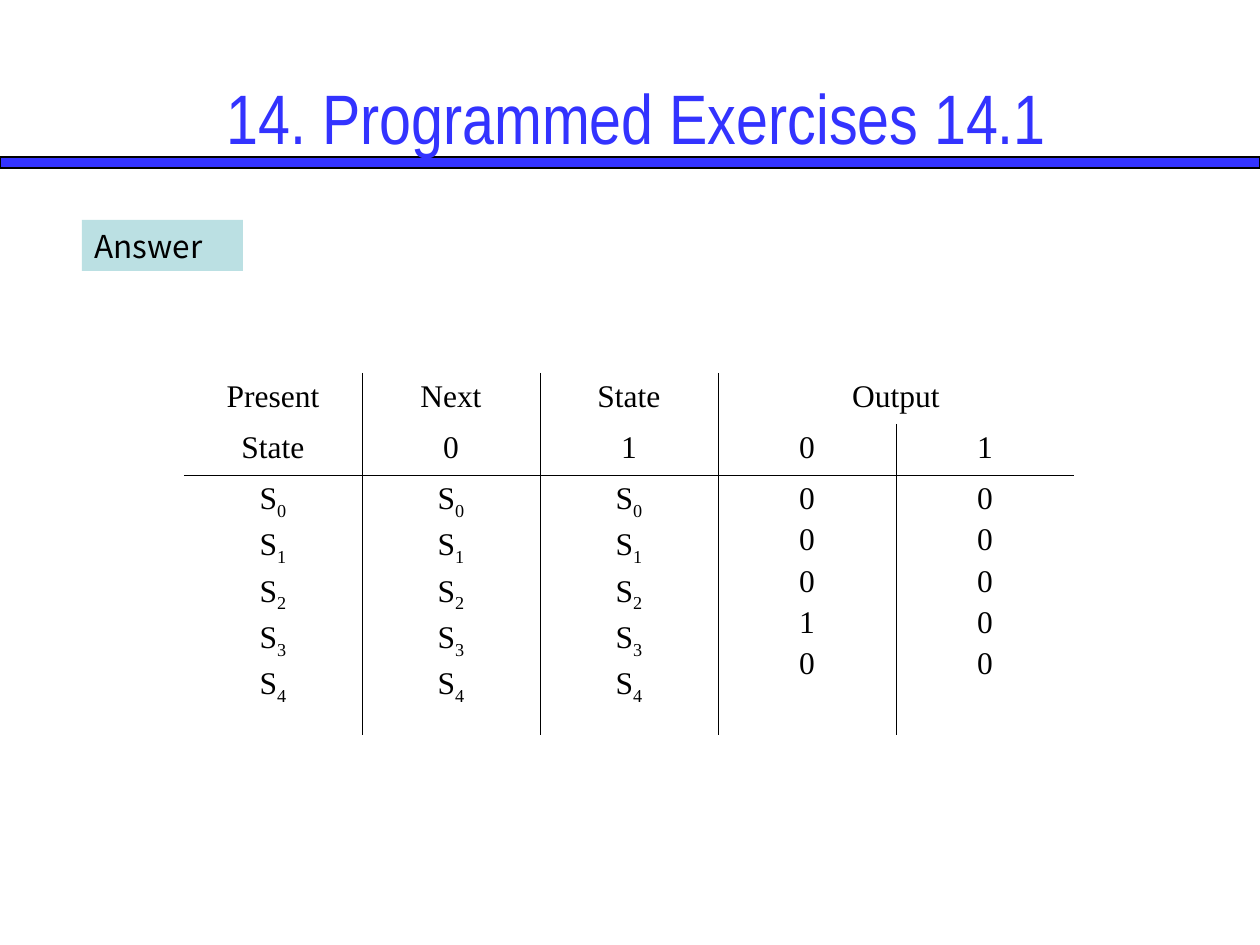
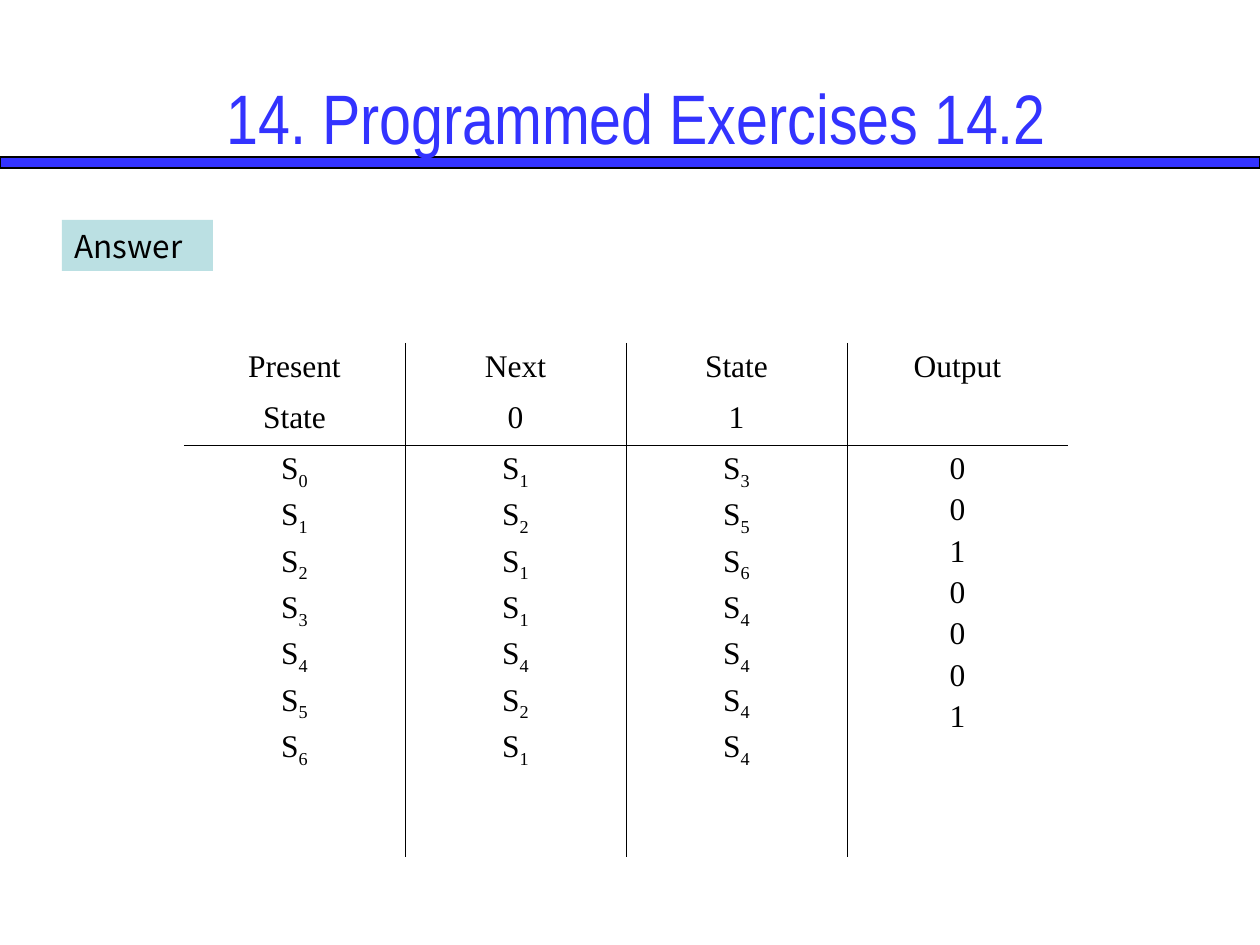
from dataclasses import dataclass
from lxml.etree import SubElement as Sub
from pptx import Presentation
from pptx.dml.color import RGBColor as Rgb
from pptx.enum.shapes import MSO_SHAPE as Kind
from pptx.enum.text import MSO_ANCHOR as Anchor, PP_ALIGN as Align
from pptx.oxml.ns import qn
from pptx.util import Emu, Pt

SCALE = 914400 / 126
PLAIN = "{2D5ABB26-0587-4C30-8999-92F81FD0307C}"


@dataclass(frozen=True)
class Theme:
    blue: str = "3333FF"
    teal: str = "BBE0E3"
    black: str = "000000"
    head: tuple = ("Arial Narrow", 40)
    label: tuple = ("Noto Sans CJK KR", 18)
    body: tuple = ("Times New Roman", 18)
    edge: float = 0.75
    rule: float = 0.45
    gap: float = 3.7


THEME = Theme()


def px(*nums):
    return [Emu(round(n * SCALE)) for n in nums]


def style(font, face, color):
    name, size = face
    for key, value in {"name": name, "size": Pt(size), "bold": False}.items():
        setattr(font, key, value)
    font.color.rgb = Rgb.from_string(color)


def write(frame, text, face, color, align):
    for key, value in {"word_wrap": True, "vertical_anchor": Anchor.MIDDLE}.items():
        setattr(frame, key, value)
    para = frame.paragraphs[0]
    para.alignment = align
    run = para.add_run()
    run.text = text
    style(run.font, face, color)


def block(slide, box, fill, edge=None):
    shape = slide.shapes.add_shape(Kind.RECTANGLE, *px(*box))
    shape.shadow.inherit = False
    shape.fill.solid()
    shape.fill.fore_color.rgb = Rgb.from_string(fill)
    if edge:
        shape.line.color.rgb = Rgb.from_string(edge)
        shape.line.width = Pt(THEME.edge)
    else:
        shape.line.fill.background()
    return shape


def frame(deck, title):
    """Add a slide with the shared bar and title."""
    slide = deck.slides.add_slide(deck.slide_layouts[6])
    block(slide, (0, 157, 1260, 11), THEME.blue, THEME.black)
    box = slide.shapes.add_textbox(*px(38, 38, 1197, 157))
    write(box.text_frame, title, THEME.head, THEME.blue, Align.CENTER)
    return slide


def label(slide, left, width):
    shape = block(slide, (left, 220, width, 51), THEME.teal)
    write(shape.text_frame, "Answer", THEME.label, THEME.black, Align.LEFT)


def fill(cell, text):
    """Write one paragraph per word; digits after a letter are subscripts."""
    for i, word in enumerate(text.split()):
        paras = cell.text_frame.paragraphs
        para = cell.text_frame.add_paragraph() if i else paras[0]
        para.alignment = Align.CENTER
        if i:
            para.space_before = Pt(THEME.gap)
        parts = (word[0], word[1:]) if word[1:].isdigit() else (word,)
        for n, part in enumerate(parts):
            run = para.add_run()
            run.text = part
            style(run.font, THEME.body, THEME.black)
            if n:
                run.font._element.set("baseline", "-25000")


def border(cell, sides):
    props = cell._tc.get_or_add_tcPr()
    for side in "LRTB":
        if side in sides:
            line = Sub(props, qn(f"a:ln{side}"), w=str(Pt(THEME.rule)))
            solid = Sub(line, qn("a:solidFill"))
            Sub(solid, qn("a:srgbClr"), val=THEME.black)


def sides(row, col, bars):
    """Name the ruled sides: bars lie left of given columns, one rule under row 1."""
    tests = {"L": col in bars, "R": col + 1 in bars, "T": row == 2, "B": row == 1}
    return [side for side, ruled in tests.items() if ruled]


def states(slide, top, step, depth, rows, bars=(1, 3), merge=None):
    """Draw a state table with two heading rows and one deep body row."""
    count, heights = len(rows[0]), (51, 51, depth)
    box = px(184, top, step * count, sum(heights))
    table = slide.shapes.add_table(len(rows), count, *box).table
    for key in ("first_row", "horz_banding"):
        setattr(table, key, False)
    table._tbl.tblPr.find(qn("a:tableStyleId")).text = PLAIN
    for col in table.columns:
        col.width = px(step)[0]
    for r, (row, height) in enumerate(zip(rows, heights)):
        table.rows[r].height = px(height)[0]
        for c, text in enumerate(row):
            cell = table.cell(r, c)
            border(cell, sides(r, c, bars))
            cell.fill.background()
            fill(cell, text)
    if merge:
        first, last = merge
        table.cell(0, first).merge(table.cell(0, last))


def main():
    deck = Presentation()
    deck.slide_width, deck.slide_height = px(1260, 945)

    slide = frame(deck, "14. Programmed Exercises 14.1")
    same = "S0 S1 S2 S3 S4"
    states(slide, 373, 178, 260, [
        ("Present", "Next", "State", "Output", ""),
        ("State", "0", "1", "0", "1"),
        (same, same, same, "0 0 0 1 0", "0 0 0 0 0"),
    ], merge=(3, 4))
    label(slide, 82, 161)

    slide = frame(deck, "14. Programmed Exercises 14.2")
    label(slide, 62, 151)
    states(slide, 343, 221, 412, [
        ("Present", "Next", "State", "Output"),
        ("State", "0", "1", ""),
        ("S0 S1 S2 S3 S4 S5 S6", "S1 S2 S1 S1 S4 S2 S1",
         "S3 S5 S6 S4 S4 S4 S4", "0 0 1 0 0 0 1"),
    ])

    deck.save("out.pptx")


if __name__ == "__main__":
    main()
